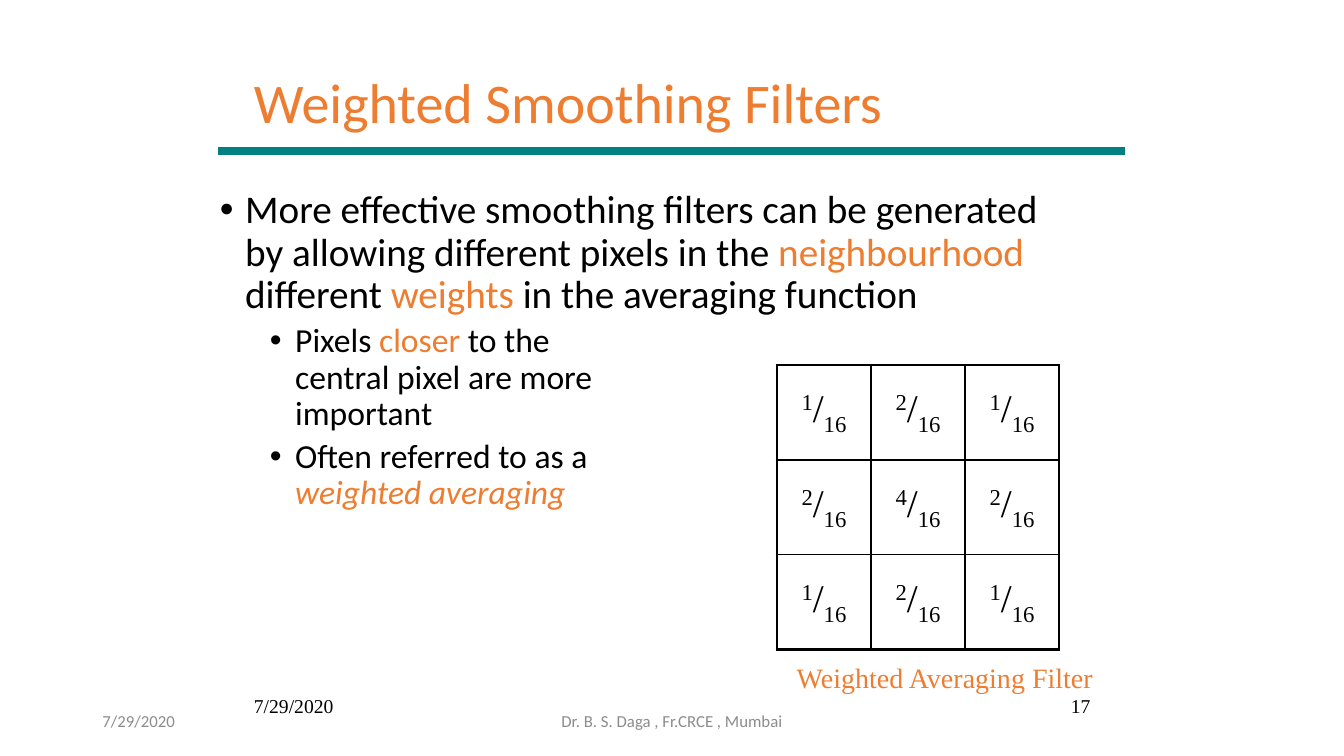
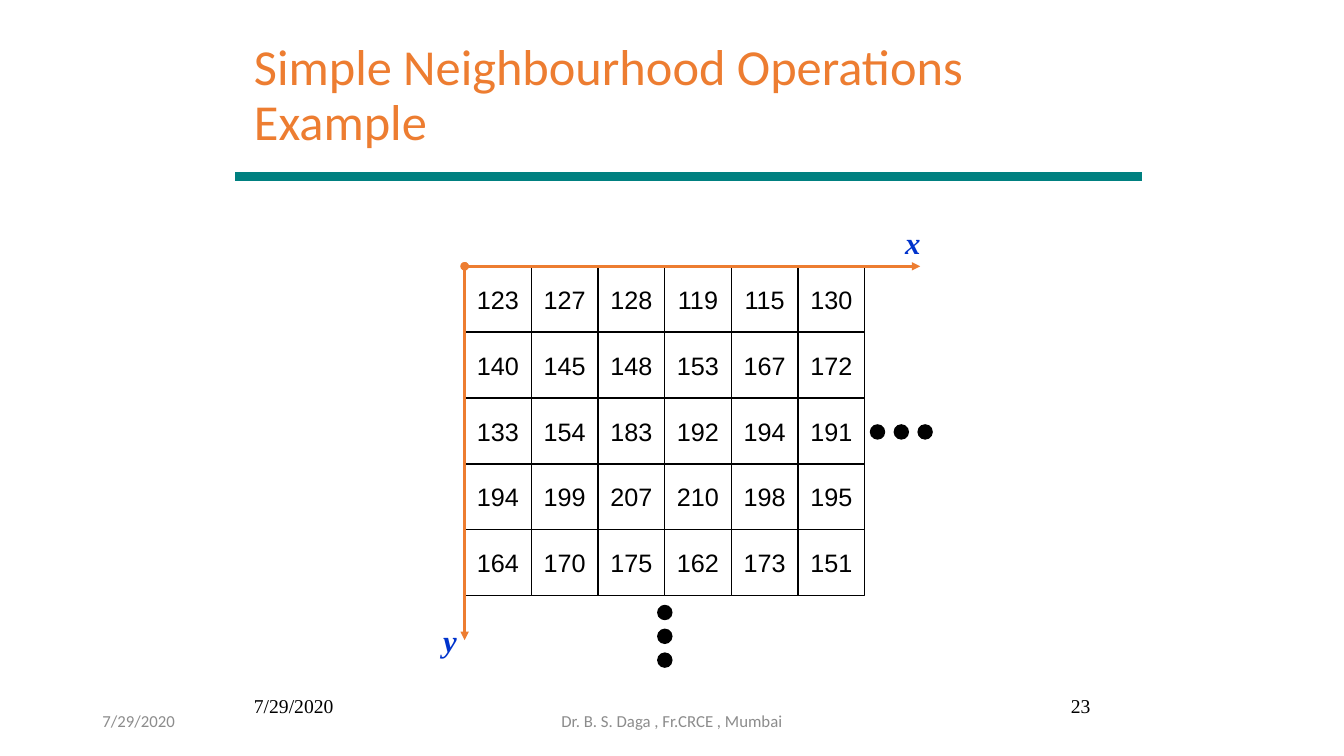
"""Build two slides on smoothing filters and pixel neighbourhoods."""
from dataclasses import dataclass
from typing import Optional

import pptx
import pptx.dml.color
import pptx.enum.dml
import pptx.enum.shapes
import pptx.enum.text
import pptx.oxml
import pptx.oxml.ns
import pptx.util

Cm = pptx.util.Cm
Pt = pptx.util.Pt
RGBColor = pptx.dml.color.RGBColor
Shape = pptx.enum.shapes.MSO_SHAPE
Align = pptx.enum.text.PP_ALIGN
Anchor = pptx.enum.text.MSO_ANCHOR
NS = pptx.oxml.ns.nsdecls("a")

BLACK = RGBColor(0, 0, 0)
WHITE = RGBColor(0xFF, 0xFF, 0xFF)
ORANGE = RGBColor(0xED, 0x7D, 0x31)
TEAL = RGBColor(0, 0x80, 0x80)
BLUE = RGBColor(0, 0x33, 0xCC)
GREY = RGBColor(0x8C, 0x8C, 0x8C)
SANS = "Calibri"
SERIF = "Times New Roman"
DATE = "7/29/2020"

PIXELS = (
    (123, 127, 128, 119, 115, 130),
    (140, 145, 148, 153, 167, 172),
    (133, 154, 183, 192, 194, 191),
    (194, 199, 207, 210, 198, 195),
    (164, 170, 175, 162, 173, 151),
)
WEIGHTS = ((1, 2, 1), (2, 4, 2), (1, 2, 1))


@dataclass
class Box:
    """A place on the slide, in centimetres."""
    left: float
    top: float
    width: float
    height: float

    def emu(self) -> tuple:
        """Give the four lengths for a shape."""
        return Cm(self.left), Cm(self.top), Cm(self.width), Cm(self.height)


@dataclass
class Span:
    """A run of text that may differ from its neighbours."""
    text: str
    color: Optional[RGBColor] = None
    slant: bool = False
    base: int = 0


@dataclass
class Point:
    """A bullet with its level, size and space before."""
    spans: list
    size: float = 24
    left: float = 1.9
    before: float = 5


POINTS = (
    Point([Span("More effective smoothing filters can be generated by allowing "
                "different pixels in the "), Span("neighbourhood", ORANGE),
           Span(" different "), Span("weights", ORANGE),
           Span(" in the averaging function")], size=28, left=0.64, before=0),
    Point([Span("Pixels "), Span("closer", ORANGE),
           Span(" to the\ncentral pixel are more\nimportant")]),
    Point([Span("Often referred to as a\n"),
           Span("weighted averaging", ORANGE, slant=True)]),
)


def write(para, text, *, size: float, font: str = SANS, color: RGBColor = BLACK,
          bold: bool = False, slant: bool = False, align=Align.LEFT,
          lead: Optional[float] = None) -> None:
    """Fill a paragraph with a string or with spans."""
    para.alignment = align
    if lead:
        para.line_spacing = lead
    for span in [Span(text)] if isinstance(text, str) else text:
        for count, line in enumerate(span.text.split("\n")):
            if count:
                para.add_line_break()
            if not line:
                continue
            run = para.add_run()
            run.text = line
            run.font.size = Pt(size)
            run.font.name = font
            run.font.bold = bold
            run.font.italic = slant or span.slant
            run.font.color.rgb = span.color or color
            if span.base:
                run._r.get_or_add_rPr().set("baseline", str(span.base * 1000))


def frame(slide, box: Box, anchor=Anchor.TOP, wrap: bool = True):
    """Add a text box and return its text frame."""
    area = slide.shapes.add_textbox(*box.emu()).text_frame
    area.word_wrap = wrap
    area.vertical_anchor = anchor
    return area


def label(slide, box: Box, text: str, anchor=Anchor.TOP, wrap: bool = True,
          **style) -> None:
    """Add a text box with one paragraph."""
    write(frame(slide, box, anchor, wrap).paragraphs[0], text, **style)


def solid(slide, kind, box: Box, fill: RGBColor, edge: Optional[RGBColor] = None):
    """Add a filled shape with an optional thin edge."""
    shape = slide.shapes.add_shape(kind, *box.emu())
    shape.shadow.inherit = False
    shape.fill.solid()
    shape.fill.fore_color.rgb = fill
    if edge is None:
        shape.line.fill.background()
    else:
        shape.line.color.rgb = edge
        shape.line.width = Pt(1)
    return shape


def rule(slide, start: tuple, end: tuple, color: RGBColor, width: float,
         arrow: bool = False) -> None:
    """Add a straight line, as an arrow from a round dot if asked."""
    line = slide.shapes.add_connector(
        pptx.enum.shapes.MSO_CONNECTOR.STRAIGHT, *map(Cm, start + end))
    line.line.color.rgb = color
    line.line.width = Pt(width)
    if arrow:
        stroke = line.line._get_or_add_ln()
        for tag, kind in (("headEnd", "oval"), ("tailEnd", "triangle")):
            stroke.append(pptx.oxml.parse_xml(f'<a:{tag} {NS} type="{kind}"/>'))
    line._element.spPr.append(pptx.oxml.parse_xml(f"<a:effectLst {NS}/>"))


def start(deck, title: str, size: float, top: float, bar: tuple, page: int):
    """Add a slide with its title, bar, dates, page number and footer."""
    slide = deck.slides.add_slide(deck.slide_layouts[6])
    label(slide, Box(6.15, top, 21.59, 3.18), title, Anchor.MIDDLE,
          size=size, color=ORANGE, lead=0.9)
    left, level = bar
    rule(slide, (left, level), (left + 22.86, level), TEAL, 6)
    label(slide, Box(6.15, 17.36, 5.29, 1.27), DATE, size=14, font=SERIF)
    label(slide, Box(22.44, 17.36, 5.29, 1.27), str(page), size=14, font=SERIF,
          align=Align.RIGHT)
    label(slide, Box(2.33, 17.65, 7.62, 1.02), DATE, Anchor.MIDDLE,
          size=12, color=GREY)
    label(slide, Box(11.22, 17.65, 11.43, 1.02),
          "Dr. B. S. Daga , Fr.CRCE , Mumbai", Anchor.MIDDLE,
          size=12, color=GREY, align=Align.CENTER)
    return slide


def bullets(slide, box: Box, points: tuple) -> None:
    """Add a bullet list."""
    area = frame(slide, box)
    for count, point in enumerate(points):
        para = area.add_paragraph() if count else area.paragraphs[0]
        props = para._p.get_or_add_pPr()
        props.set("marL", str(Cm(point.left)))
        props.set("indent", str(-Cm(0.64)))
        for mark in ('buFont {} typeface="Arial"', 'buChar {} char="•"'):
            props.append(pptx.oxml.parse_xml(f"<a:{mark.format(NS)}/>"))
        para.space_before = Pt(point.before)
        write(para, point.spans, size=point.size, lead=0.9)


def border(cell, sides: dict) -> None:
    """Draw black cell borders of the given widths."""
    props = cell._tc.get_or_add_tcPr()
    for side, width in sides.items():
        props.append(pptx.oxml.parse_xml(
            f'<a:ln{side} {NS} w="{Pt(width)}"><a:solidFill>'
            f'<a:srgbClr val="{BLACK}"/></a:solidFill></a:ln{side}>'))


def kernel(slide, box: Box, weights: tuple) -> None:
    """Add the table of filter weights, each a share of their sum."""
    total = sum(map(sum, weights))
    last = len(weights) - 1
    table = slide.shapes.add_table(last + 1, last + 1, *box.emu()).table
    table.first_row = table.horz_banding = False
    for row, values in enumerate(weights):
        for col, value in enumerate(values):
            cell = table.cell(row, col)
            ends = {"L": col == 0, "R": col == last,
                    "T": row == 0, "B": row == last}
            border(cell, {side: 2.25 if end else 1 for side, end in ends.items()})
            cell.fill.background()
            cell.vertical_anchor = Anchor.MIDDLE
            write(cell.text_frame.paragraphs[0],
                  [Span(str(value), base=30), Span("/"),
                   Span(str(total), base=-25)],
                  size=28, font=SERIF, align=Align.CENTER)


def filters(deck) -> None:
    """Build the slide on weighted filters."""
    slide = start(deck, "Weighted Smoothing Filters", 40, 1.06, (5.5, 3.81), 17)
    bullets(slide, Box(5.29, 4.66, 21.59, 11.43), POINTS)
    kernel(slide, Box(19.58, 9.2, 7.11, 7.17), WEIGHTS)
    label(slide, Box(19.38, 16.51, 8.86, 1.73), "Weighted Averaging Filter",
          size=20, font=SERIF, color=ORANGE, align=Align.CENTER)


def pixels(deck) -> None:
    """Build the slide with the pixel grid and its axes."""
    slide = start(deck, "Simple Neighbourhood Operations Example", 36, 0.85,
                  (5.93, 4.45), 23)
    left, top, wide, high = 11.71, 6.71, 1.68, 1.66
    for row, values in enumerate(PIXELS):
        for col, value in enumerate(values):
            place = Box(left + col * wide, top + row * high, wide, high)
            area = solid(slide, Shape.RECTANGLE, place, WHITE, BLACK).text_frame
            area.word_wrap = False
            area.vertical_anchor = Anchor.MIDDLE
            write(area.paragraphs[0], str(value), size=18, font="Arial",
                  align=Align.CENTER)
    rule(slide, (left, top), (23.19, top), ORANGE, 2, arrow=True)
    rule(slide, (left, top), (left, 16.13), ORANGE, 2, arrow=True)
    for name, x, y in (("x", 22.56, 5.51), ("y", 10.92, 15.54)):
        label(slide, Box(x, y, 0.88, 1.19), name, wrap=False, size=22,
              font=SERIF, color=BLUE, bold=True, slant=True)
    dot, step = 0.39, 0.6
    for count in range(3):
        for x, y in ((21.92 + count * step, 10.69), (16.56, 15.24 + count * step)):
            solid(slide, Shape.OVAL, Box(x, y, dot, dot), BLACK)


def main() -> None:
    """Build and save the deck."""
    deck = pptx.Presentation()
    deck.slide_width = Cm(33.87)
    deck.slide_height = Cm(19.05)
    filters(deck)
    pixels(deck)
    deck.save("out.pptx")


if __name__ == "__main__":
    main()
